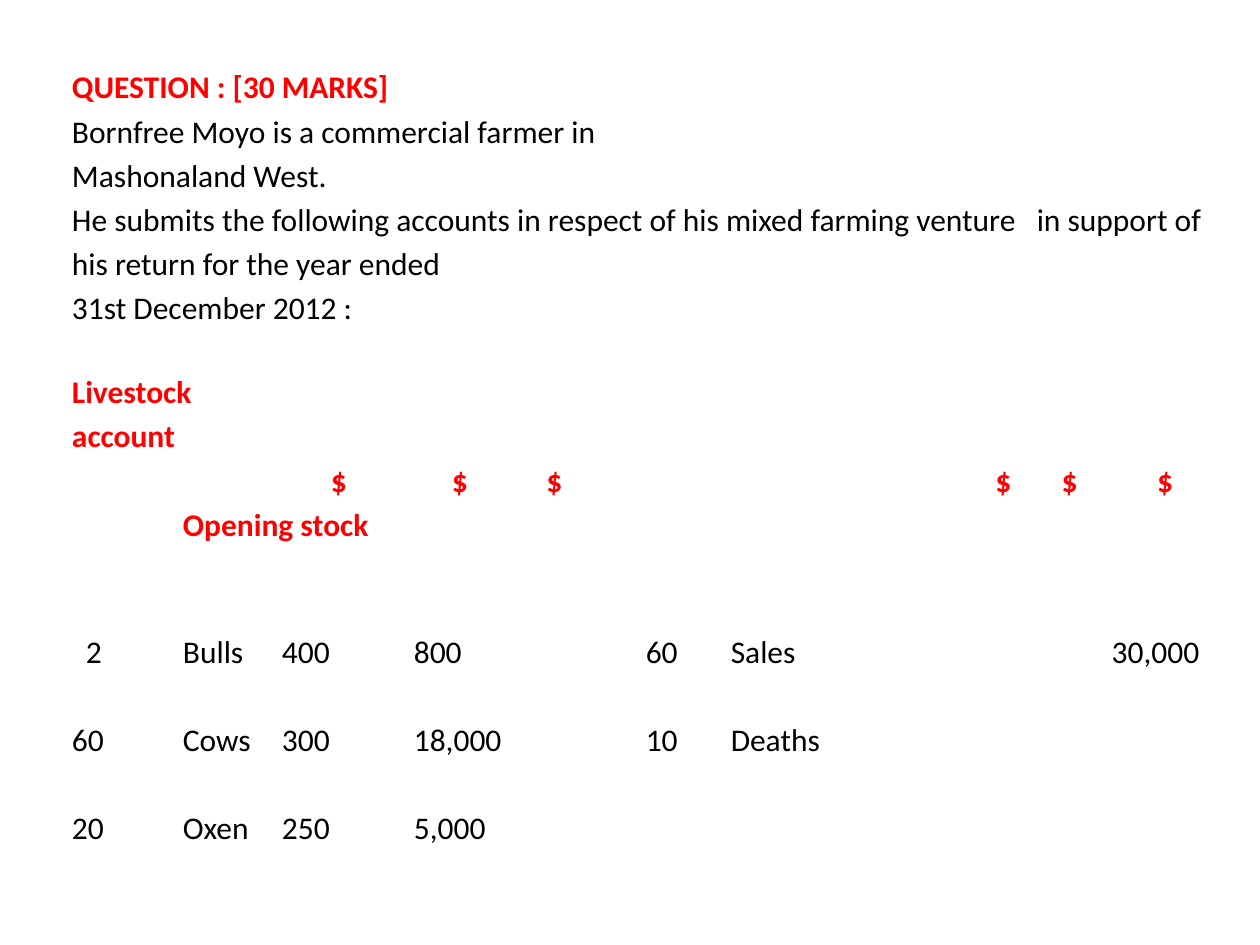
from pptx import Presentation
from pptx import util as u
from pptx.dml.color import RGBColor
from pptx.enum import text

PX = 914400 // 126
RED = RGBColor(255, 0, 0)
BLACK = RGBColor(0, 0, 0)

wide = [105, 105, 132, 33, 57, 20, 79, 43, 79, 254, 67, 66, 23, 102]
high = [44, 88, 88, 44, 39, 88, 45, 44, 39, 88, 88, 88]

rows = {
    0: {0: "QUESTION : [30 MARKS]"},
    1: {0: "Bornfree Moyo is a commercial farmer in Mashonaland West."},
    2: {0: "He submits the following accounts in respect of his mixed farming "
           "venture   in support of his return for the year ended"},
    3: {0: "31st December 2012 :"},
    5: {0: "Livestock account"},
    6: {col: "$" for col in (2, 3, 6, 10, 11, 12)},
    7: {1: "Opening stock"},
    9: {0: "2", 1: "Bulls", 2: "400", 3: "800", 8: "60", 9: "Sales", 12: "30,000"},
    10: {0: "60", 1: "Cows", 2: "300", 3: "18,000", 8: "10", 9: "Deaths"},
    11: {0: "20", 1: "Oxen", 2: "250", 3: "5,000"},
}
heads = (0, 5, 6, 7)
spans = {
    0: [(0, 3), (5, 6), (11, 12)],
    1: [(0, 8), (11, 12)],
    2: [(0, 13)],
    3: [(0, 2)],
    5: [(0, 1)],
    7: [(1, 2)],
}
for row in range(3, len(high)):
    spans[row] = spans.get(row, []) + [(3, 5), (12, 13)]

prs = Presentation()
prs.slide_width = u.Inches(10)
prs.slide_height = u.Inches(7.5)
slide = prs.slides.add_slide(prs.slide_layouts[6])

frame = slide.shapes.add_table(len(high), len(wide), 63 * PX, 63 * PX,
                               sum(wide) * PX, sum(high) * PX)
table = frame.table
table.first_row = False
table.horz_banding = False
for col, size in zip(table.columns, wide):
    col.width = size * PX
for row, size in zip(table.rows, high):
    row.height = size * PX

for row, pairs in spans.items():
    for first, last in pairs:
        table.cell(row, first).merge(table.cell(row, last))

for row in range(len(high)):
    for col in range(len(wide)):
        cell = table.cell(row, col)
        cell.fill.background()
        cell.vertical_anchor = text.MSO_ANCHOR.BOTTOM
        cell.margin_left = cell.margin_right = 9 * PX
        cell.margin_top = cell.margin_bottom = 0
        words = rows.get(row, {}).get(col)
        if not words:
            continue
        if words == "2":
            cell.margin_left = 23 * PX
        elif col in (1, 9):
            cell.margin_left = 15 * PX
        cell.text = words
        para = cell.text_frame.paragraphs[0]
        para.line_spacing = 1.15
        if words == "$":
            para.alignment = text.PP_ALIGN.CENTER
        para.font.name = "Calibri"
        para.font.size = u.Pt(18)
        para.font.bold = row in heads
        para.font.color.rgb = RED if row in heads else BLACK

prs.save("out.pptx")
